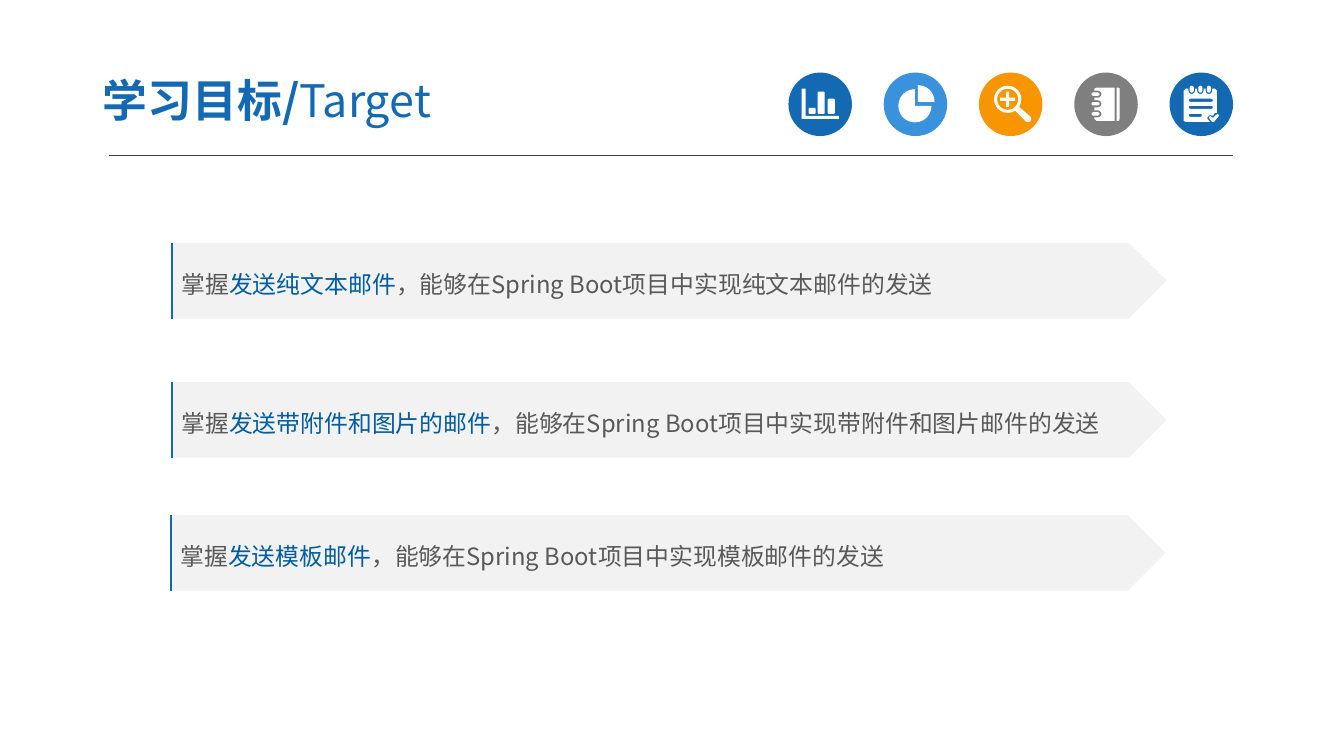
from math import cos, radians, sin

from lxml import etree
from pptx import Presentation
from pptx.dml.color import RGBColor
from pptx.enum.shapes import MSO_CONNECTOR, MSO_SHAPE as Preset
from pptx.enum.text import MSO_ANCHOR, PP_ALIGN
from pptx.oxml.ns import qn
from pptx.util import Inches, Pt

FONT = "Noto Sans CJK SC"
COLORS = {
    "blue": "1369B2", "sky": "3992DB", "orange": "F79600", "gray": "7F7F7F",
    "rule": "404040", "band": "F2F2F2", "text": "595959", "key": "005DA2",
    "white": "FFFFFF",
}
BADGE_LEFT, BADGE_TOP, BADGE_SIZE, BADGE_STEP = 7.82, 0.72, 0.63, 0.945
UNITS = 1000  # freeform grid steps per inch


def rgb(name):
    return RGBColor.from_string(COLORS[name])


def add_filled(slide, preset, box, color):
    shape = slide.shapes.add_shape(preset, *map(Inches, box))
    shape.shadow.inherit = False
    shape.fill.solid()
    shape.fill.fore_color.rgb = rgb(color)
    shape.line.fill.background()
    return shape


def arc(x, y, radius, start, end, steps):
    """Points along an arc, in degrees clockwise from the right."""
    angles = [radians(start + (end - start) * i / steps) for i in range(steps + 1)]
    return [(x + radius * cos(a), y + radius * sin(a)) for a in angles]


def rounded(left, top, width, height, radius):
    right, bottom = left + width - radius, top + height - radius
    left, top = left + radius, top + radius
    corners = ((right, bottom), (left, bottom), (left, top), (right, top))
    return [point for i, (x, y) in enumerate(corners)
            for point in arc(x, y, radius, 90 * i, 90 * i + 90, 2)]


def bar_chart():
    axis = [(0.13, 0.88), (0.17, 0.88), (0.17, 1.15), (0.5, 1.15),
            (0.5, 1.18), (0.13, 1.18)]
    bars = ((0.2, 1.07), (0.29, 0.91), (0.39, 0.98))
    return [axis] + [rounded(x, top, 0.07, 1.13 - top, 0.01) for x, top in bars]


def pie():
    return [[(0.34, 1.01)] + arc(0.34, 1.01, 0.165, 270, 360, 6),
            [(0.31, 1.05)] + arc(0.31, 1.05, 0.165, 0, 270, 18)]


def magnifier():
    x, y = 0.285, 0.985
    outline = arc(x, y, 0.135, 57, 393, 22) + arc(0.485, 1.18, 0.033, -45, 135, 6)
    lens = arc(x, y, 0.105, 0, 345, 23)
    plus = [(x + dx, y + dy) for dx, dy in (
        (-0.075, -0.015), (-0.015, -0.015), (-0.015, -0.075), (0.015, -0.075),
        (0.015, -0.015), (0.075, -0.015), (0.075, 0.015), (0.015, 0.015),
        (0.015, 0.075), (-0.015, 0.075), (-0.015, 0.015), (-0.075, 0.015))]
    return [outline, lens, plus]


def notebook():
    rings = (0.935, 1.03, 1.13)
    page = [(0.22, 0.87), (0.2, 0.88)]
    for y in rings:
        page += [(0.2, y - 0.035), *arc(0.235, y, 0.035, -90, 90, 6), (0.2, y + 0.035)]
    page += [(0.2, 1.18), (0.22, 1.2), (0.4, 1.2), (0.4, 0.87)]
    spine = [(0.42, 0.87), (0.44, 0.87), (0.45, 0.88), (0.45, 1.18),
             (0.44, 1.2), (0.42, 1.2)]
    return [spine, page] + [rounded(0.17, y - 0.017, 0.08, 0.034, 0.017) for y in rings]


def notepad():
    binders = (0.22, 0.305, 0.39)
    sheet = [(0.14, 0.9), (0.16, 0.88)]
    for x in binders:
        sheet += [(x - 0.033, 0.88), *arc(x, 0.9, 0.033, 180, 0, 6), (x + 0.033, 0.88)]
    sheet += [(0.45, 0.88), (0.47, 0.9), (0.47, 1.12), (0.45, 1.12), (0.43, 1.15),
              (0.4, 1.14), (0.37, 1.17), (0.4, 1.21), (0.16, 1.21), (0.14, 1.2)]
    lines = ((0.98, 0.24), (1.05, 0.24), (1.13, 0.13))
    tick = [(0.39, 1.17), (0.4, 1.15), (0.43, 1.17), (0.46, 1.14), (0.48, 1.13),
            (0.49, 1.15), (0.44, 1.21), (0.42, 1.21)]
    return ([sheet, tick]
            + [rounded(0.19, top, width, 0.03, 0.015) for top, width in lines]
            + [rounded(x - 0.02, 0.85, 0.04, 0.07, 0.02) for x in binders])


def add_icon(slide, left, contours):
    """Draw all contours as one white shape; inner contours become holes."""
    grid = [[((left + x) * UNITS, y * UNITS) for x, y in contour]
            for contour in contours]
    builder = slide.shapes.build_freeform(*grid[0][0], scale=Inches(1) / UNITS)
    for index, points in enumerate(grid):
        if index:
            builder.move_to(*points[0])
        builder.add_line_segments(points[1:], close=True)
    icon = builder.convert_to_shape()
    icon.shadow.inherit = False
    icon.fill.solid()
    icon.fill.fore_color.rgb = rgb("white")
    icon.line.fill.background()


def add_badges(slide):
    badges = (("blue", bar_chart), ("sky", pie), ("orange", magnifier),
              ("gray", notebook), ("blue", notepad))
    for index, (color, icon) in enumerate(badges):
        left = BADGE_LEFT + index * BADGE_STEP
        add_filled(slide, Preset.OVAL,
                   (left, BADGE_TOP, BADGE_SIZE, BADGE_SIZE), color)
        add_icon(slide, left, icon())


def add_rule(slide):
    rule = slide.shapes.add_connector(
        MSO_CONNECTOR.STRAIGHT, *map(Inches, (1.08, 1.54, 12.23, 1.54)))
    rule.line.color.rgb = rgb("rule")
    rule.line.width = Pt(0.75)
    etree.SubElement(rule._element.spPr, qn("a:effectLst"))


def add_run(paragraph, text, size, color, bold=False):
    run = paragraph.add_run()
    run.text = text
    font = run.font
    font.size, font.bold, font.name = Pt(size), bold, FONT
    font.color.rgb = rgb(color)
    east_asian = etree.SubElement(run._r.get_or_add_rPr(), qn("a:ea"))
    east_asian.set("typeface", FONT)


def add_title(slide):
    title = slide.shapes.add_textbox(*map(Inches, (0.89, 0.63, 5.22, 0.72)))
    frame = title.text_frame
    frame.word_wrap = True
    frame.vertical_anchor = MSO_ANCHOR.MIDDLE
    frame.margin_left = frame.margin_right = Inches(0.13)
    frame.margin_top = frame.margin_bottom = Inches(0.07)
    add_run(frame.paragraphs[0], "学习目标/", 32, "blue", bold=True)
    add_run(frame.paragraphs[0], "Target", 32, "blue")


def add_edge(slide, left, top, height):
    """Vertical accent line inside a narrow frame."""
    x, y = left * UNITS, top * UNITS
    builder = slide.shapes.build_freeform(
        x, y + height * UNITS, scale=Inches(1) / UNITS)
    builder.add_line_segments([(x, y)], close=False)
    builder.move_to(x + 0.14 * UNITS, y)
    edge = builder.convert_to_shape()
    edge.shadow.inherit = False
    edge.fill.background()
    edge.line.color.rgb = rgb("blue")
    edge.line.width = Pt(1.5)


def add_goal(slide, left, top, topic, result):
    band = add_filled(slide, Preset.PENTAGON, (left, top, 9.87, 0.75), "band")
    frame = band.text_frame
    frame.word_wrap = True
    frame.vertical_anchor = MSO_ANCHOR.MIDDLE
    goal = frame.paragraphs[0]
    goal.alignment = PP_ALIGN.LEFT
    goal.line_spacing = 1.2
    add_run(goal, "掌握", 17, "text")
    add_run(goal, topic, 17, "key")
    add_run(goal, f"，能够在Spring Boot项目中实现{result}的发送", 17, "text")
    add_edge(slide, left + 0.01, top, 0.75)


def main():
    deck = Presentation()
    deck.slide_width, deck.slide_height = Inches(13.33), Inches(7.5)
    slide = deck.slides.add_slide(deck.slide_layouts[6])
    add_rule(slide)
    add_badges(slide)
    add_title(slide)
    add_goal(slide, 1.7, 2.41, "发送纯文本邮件", "纯文本邮件")
    add_goal(slide, 1.7, 3.79, "发送带附件和图片的邮件", "带附件和图片邮件")
    add_goal(slide, 1.69, 5.11, "发送模板邮件", "模板邮件")
    deck.save("out.pptx")


if __name__ == "__main__":
    main()
